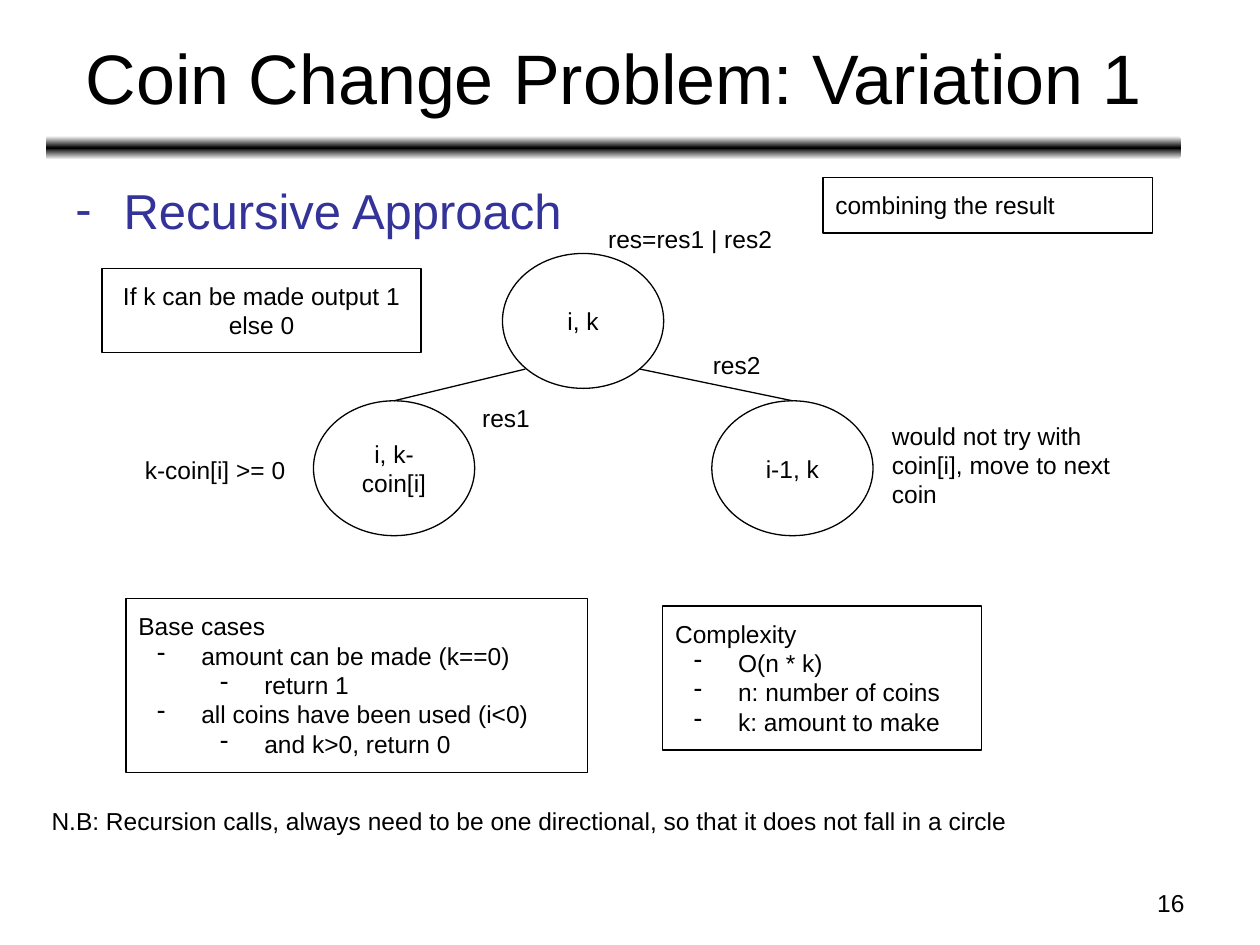
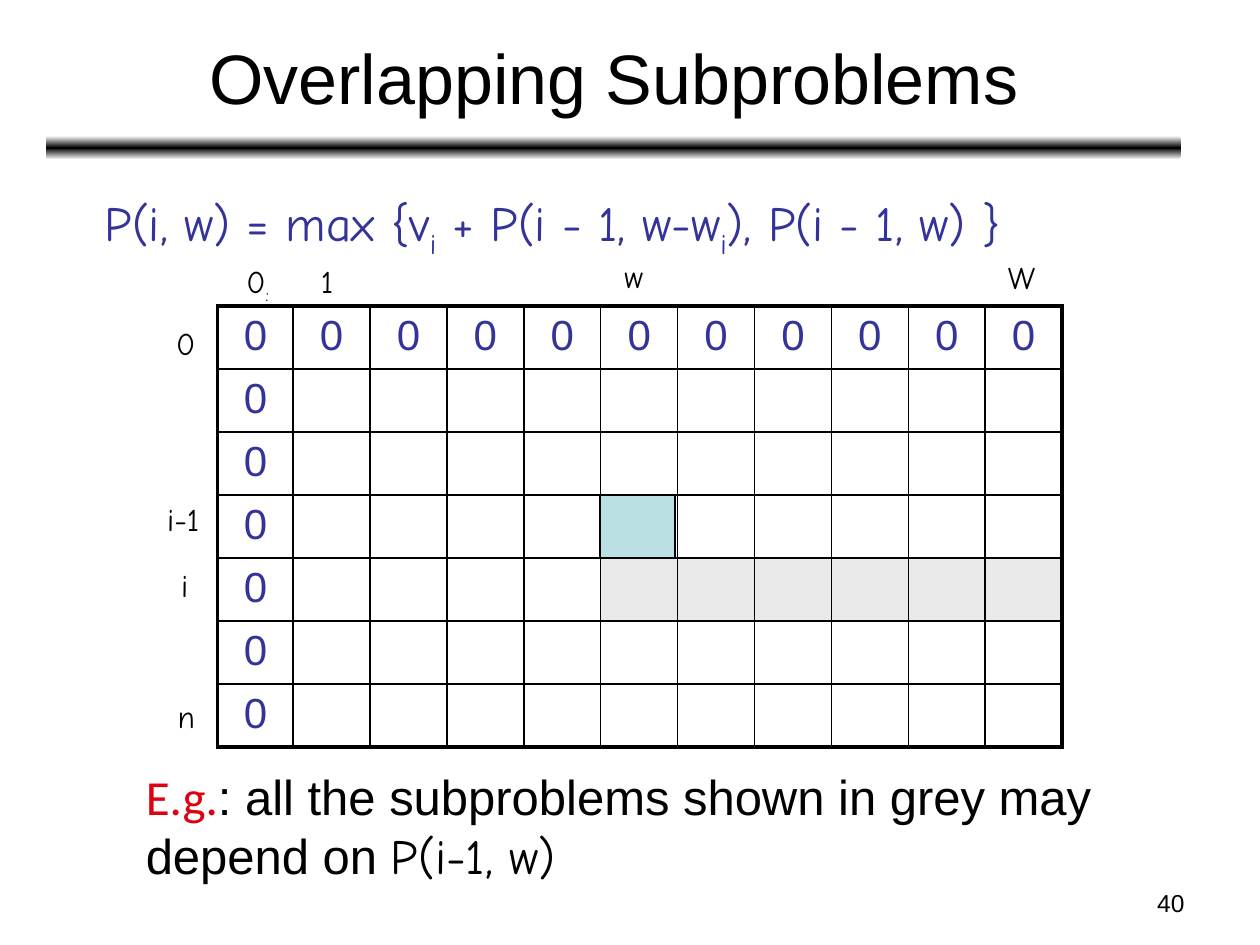
from copy import deepcopy
from lxml.etree import SubElement
from pptx import Presentation
from pptx.dml.color import RGBColor
from pptx.enum.shapes import MSO_CONNECTOR, MSO_SHAPE
from pptx.enum.text import MSO_ANCHOR, MSO_AUTO_SIZE, PP_ALIGN
from pptx.oxml.ns import qn
from pptx.util import Cm, Pt

BLACK, WHITE, BLUE = "000000", "FFFFFF", "333399"
TEAL, GREY, RED = "BBE0E3", "EAEAEA", "DD0111"
COMIC = "Comic Neue"
LEFT, MID, RIGHT = PP_ALIGN.LEFT, PP_ALIGN.CENTER, PP_ALIGN.RIGHT
ink = RGBColor.from_string


def say(frame, text, size=14, font="Arial", color=BLACK, align=LEFT,
        anchor=MSO_ANCHOR.TOP, gap=0.25, step=1.27, hang=0.89, left=0):
    frame.word_wrap = True
    frame.auto_size = MSO_AUTO_SIZE.NONE
    frame.vertical_anchor = anchor
    frame.margin_left = frame.margin_right = Cm(0.25)
    frame.margin_top = frame.margin_bottom = Cm(gap)
    lines = text.split("\n") if isinstance(text, str) else [text]
    for row, line in enumerate(lines):
        para = frame.add_paragraph() if row else frame.paragraphs[0]
        para.alignment = align
        para.space_before = Pt(0)
        level = 0
        if isinstance(line, str):
            bare = line.lstrip("-")
            level = len(line) - len(bare)
            line = [(bare.strip(), {})]
        props = para._p.get_or_add_pPr()
        props.set("marL", str(Cm(level * step or left)))
        props.set("indent", str(Cm(-hang if level else 0)))
        if level:
            para.level = level - 1
            SubElement(props, qn("a:buChar")).set("char", "-")
        else:
            SubElement(props, qn("a:buNone"))
        for words, look in line:
            run = para.add_run()
            run.text = words
            run.font.size = Pt(size)
            run.font.name = look.get("font", font)
            run.font.color.rgb = ink(look.get("color", color))
            if look.get("sub"):
                run.font._element.set("baseline", "-25000")


def box(slide, kind, at, fill=None):
    shape = slide.shapes.add_shape(kind, *map(Cm, at))
    shape.shadow.inherit = False
    shape.line.color.rgb = ink(BLACK)
    shape.line.width = Pt(0.75)
    if fill:
        shape.fill.solid()
        shape.fill.fore_color.rgb = ink(fill)
    else:
        shape.fill.background()
    return shape


deck = Presentation()
deck.slide_width, deck.slide_height = Cm(25.4), Cm(19.05)

pages = []
for title, number, spot in [
    ("Coin Change Problem: Variation 1", "16", (0.97, 3.5, 22.86, 14.1)),
    ("Overlapping Subproblems", "40", (0.89, 3.76, 22.86, 2.01)),
]:
    slide = deck.slides.add_slide(deck.slide_layouts[1])
    head, body = slide.shapes.title, slide.placeholders[1]
    for holder, at in [(head, (0.94, 0.28, 22.86, 2.51)), (body, spot)]:
        holder.left, holder.top, holder.width, holder.height = map(Cm, at)
    say(head.text_frame, title, size=40, align=MID,
        anchor=MSO_ANCHOR.MIDDLE, gap=0.13)
    note = slide.shapes.add_textbox(Cm(18.21), Cm(17.78), Cm(5.92), Cm(0.89))
    say(note.text_frame, number, align=RIGHT, gap=0.13)
    pages.append((slide, body))

tree, grid = pages[0][0], pages[1][0]

band = box(tree, MSO_SHAPE.ROUNDED_RECTANGLE, (0.92, 2.74, 22.89, 0.48))
band.line.fill.background()
band.fill.gradient()
band.fill.gradient_angle = 90
stops = band.element.spPr.find(".//" + qn("a:gsLst"))
stops.insert(1, deepcopy(stops[0]))
for stop, place, color in zip(band.fill.gradient_stops, (0, 0.5, 1),
                              (WHITE, BLACK, WHITE)):
    stop.position = place
    stop.color.rgb = ink(color)
band.element.nvSpPr.cNvPr.set("id", "99")
deck.slide_master.element.cSld.spTree.append(band.element)

say(pages[0][1].text_frame, "-Recursive Approach", size=28, color=BLUE,
    gap=0.13, hang=0.97)

for text, x, y in [("i, k", 10.13, 5.11), ("i, k-coin[i]", 6.32, 8.08),
                   ("i-1, k", 14.35, 8.08)]:
    node = box(tree, MSO_SHAPE.OVAL, (x, y, 3.25, 2.72), WHITE)
    say(node.text_frame, text, align=MID, anchor=MSO_ANCHOR.MIDDLE)

for start, end in [(10.59, 7.94), (12.9, 15.98)]:
    link = tree.shapes.add_connector(MSO_CONNECTOR.STRAIGHT, Cm(start),
                                     Cm(7.44), Cm(end), Cm(8.08))
    link.line.color.rgb = ink(BLACK)
    link.line.width = Pt(0.75)
    SubElement(link.element.spPr, qn("a:effectLst"))

for text, at, align in [
    ("Base cases\n-amount can be made (k==0)\n--return 1\n"
     "-all coins have been used (i<0)\n--and k>0, return 0",
     (2.54, 12.07, 9.3, 3.5), LEFT),
    ("Complexity\n-O(n * k)\n-n: number of coins\n-k: amount to make",
     (13.36, 12.22, 6.43, 2.9), LEFT),
    ("If k can be made output 1\nelse 0", (2.06, 5.41, 6.43, 1.7), MID),
    ("combining the result", (16.59, 3.58, 6.65, 1.12), LEFT),
]:
    say(box(tree, MSO_SHAPE.RECTANGLE, at).text_frame, text, align=align)

for text, *at in [
    ("res1", 9.47, 7.87, 1.73, 1.12),
    ("res2", 14.12, 6.81, 1.73, 1.12),
    ("res=res1 | res2", 12.01, 4.27, 4.04, 1.12),
    ("k-coin[i] >= 0", 2.67, 8.92, 3.45, 1.12),
    ("would not try with coin[i], move to next coin",
     17.73, 8.23, 5.36, 2.31),
    ("N.B: Recursion calls, always need to be one directional, "
     "so that it does not fall in a circle", 0.79, 16, 22.07, 1.12),
]:
    say(tree.shapes.add_textbox(*map(Cm, at)).text_frame, text)

sub = {"sub": True}
say(pages[1][1].text_frame,
    [("P(i, w) = max {v", {}), ("i", sub), (" + P(i - 1, w-w", {}),
     ("i", sub), ("), P(i - 1, w) }", {})],
    size=28, font=COMIC, color=BLUE, gap=0.13, left=0.97)

box(grid, MSO_SHAPE.RECTANGLE, (12.09, 9.98, 1.52, 1.27), TEAL)

rows, cols = 7, 11
table = grid.shapes.add_table(rows, cols, Cm(4.39), Cm(6.17),
                              Cm(17.02), Cm(8.89)).table
table.first_row = table.horz_banding = False
table._tbl.tblPr[0].text = "{2D5ABB26-0587-4C30-8999-92F81FD0307C}"
for c, col in enumerate(table.columns):
    col.width = Cm(1.55 if c else 1.52)
for r, row in enumerate(table.rows):
    row.height = Cm(1.27)
    for c, cell in enumerate(row.cells):
        props = cell._tc.get_or_add_tcPr()
        for side, outer in [("L", c == 0), ("R", c == cols - 1),
                            ("T", r == 0), ("B", r == rows - 1)]:
            edge = SubElement(props, qn("a:ln" + side))
            edge.set("w", str(Pt(2.25 if outer else 1)))
            paint = SubElement(edge, qn("a:solidFill"))
            SubElement(paint, qn("a:srgbClr")).set("val", BLACK)
        if r == 4 and c > 4:
            cell.fill.solid()
            cell.fill.fore_color.rgb = ink(GREY)
        else:
            cell.fill.background()
        if r == 0 or c == 0:
            para = cell.text_frame.paragraphs[0]
            para.text = "0"
            para.alignment = MID
            para.font.size = Pt(24)
            para.font.name = "Arial"
            para.font.color.rgb = ink(BLUE)

for text, x, y, wide in [
    ([("0", {}), (":", sub)], 4.72, 5.16, 1.02), ("1", 6.22, 5.16, 0.79),
    ("w", 12.34, 5.05, 0.94), ("W", 20.07, 5.08, 1.17),
    ("0", 3.3, 6.4, 0.89), ("i-1", 3.12, 9.96, 1.4),
    ("i", 3.4, 11.28, 0.69), ("n", 3.33, 13.92, 0.84),
]:
    mark = grid.shapes.add_textbox(Cm(x), Cm(y), Cm(wide), Cm(1.02))
    say(mark.text_frame, text, size=18, font=COMIC, gap=0.13)

hint = grid.shapes.add_textbox(Cm(2.69), Cm(15.32), Cm(20.24), Cm(2.64))
say(hint.text_frame,
    [("E.g.", {"font": "Calibri", "color": RED}),
     (": all the subproblems shown in grey may depend on ", {}),
     ("P(i-1, w)", {"font": COMIC})], size=28, gap=0.13)

deck.save("out.pptx")
